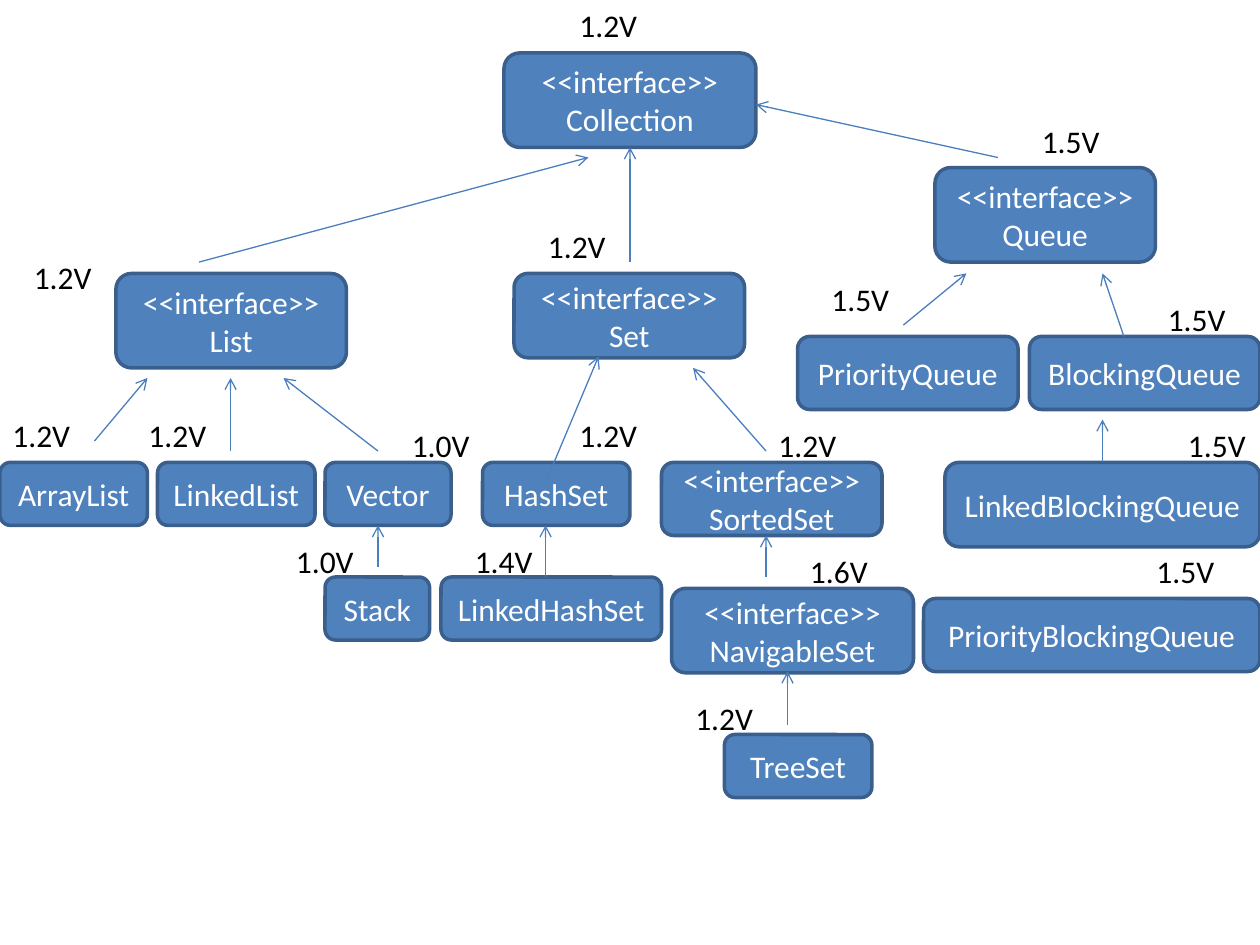
"""Build a slide with the Collection interface hierarchy and version labels."""
from lxml import etree
from pptx import Presentation
from pptx.dml.color import RGBColor
from pptx.enum.shapes import MSO_CONNECTOR as CONN, MSO_SHAPE as SHAPE
from pptx.enum.text import MSO_ANCHOR as ANCHOR, MSO_AUTO_SIZE as AUTO, PP_ALIGN as ALIGN
from pptx.oxml.ns import qn
from pptx.util import Inches, Pt

COLORS = {"fill": "4F81BD", "border": "3A5F8C", "arrow": "4B7EBC",
          "light": "FFFFFF", "dark": "000000"}
INTERFACE = "<<interface>>"


def rgb(name):
    return RGBColor.from_string(COLORS[name])


def write(tf, lines, color, align):
    tf.word_wrap = True
    for i, line in enumerate(lines):
        p = tf.paragraphs[0] if i == 0 else tf.add_paragraph()
        p.alignment = align
        r = p.add_run()
        r.text = line
        r.font.size = Pt(18)
        r.font.name = "Calibri"
        r.font.color.rgb = rgb(color)


prs = Presentation()
prs.slide_width, prs.slide_height = Inches(10), Inches(7.5)
s = prs.slides.add_slide(prs.slide_layouts[6])

types = [
    (4, 0.42, 2, 0.75, [INTERFACE, "Collection"]),
    (0.92, 2.17, 1.83, 0.75, [INTERFACE, "List"]),
    (4.08, 2.17, 1.83, 0.67, [INTERFACE, "Set"]),
    (7.42, 1.33, 1.75, 0.75, [INTERFACE, "Queue"]),
    (0, 3.67, 1.17, 0.5, ["ArrayList"]),
    (1.25, 3.67, 1.25, 0.5, ["LinkedList"]),
    (2.58, 3.67, 1, 0.5, ["Vector"]),
    (2.58, 4.58, 0.83, 0.5, ["Stack"]),
    (3.83, 3.67, 1.17, 0.5, ["HashSet"]),
    (3.5, 4.58, 1.75, 0.5, ["LinkedHashSet"]),
    (5.25, 3.67, 1.75, 0.58, [INTERFACE, "SortedSet"]),
    (5.33, 4.67, 1.92, 0.67, [INTERFACE, "NavigableSet"]),
    (5.75, 5.83, 1.17, 0.5, ["TreeSet"]),
    (6.33, 2.67, 1.75, 0.58, ["PriorityQueue"]),
    (8.17, 2.67, 1.83, 0.58, ["BlockingQueue"]),
    (7.5, 3.67, 2.5, 0.67, ["LinkedBlockingQueue"]),
    (7.33, 4.75, 2.67, 0.58, ["PriorityBlockingQueue"]),
]
for x, y, w, h, lines in types:
    sp = s.shapes.add_shape(SHAPE.ROUNDED_RECTANGLE, Inches(x), Inches(y), Inches(w), Inches(h))
    sp.shadow.inherit = False
    sp.fill.solid()
    sp.fill.fore_color.rgb = rgb("fill")
    sp.line.color.rgb = rgb("border")
    sp.line.width = Pt(2)
    sp.text_frame.vertical_anchor = ANCHOR.MIDDLE
    write(sp.text_frame, lines, "light", ALIGN.CENTER)

arrows = [
    (1.58, 2.08, 4.67, 1.25), (5, 2.08, 5, 1.17), (7.92, 1.25, 6, 0.83),
    (0.75, 3.5, 1.17, 3), (1.83, 3.58, 1.83, 3), (3, 3.58, 2.25, 3),
    (3, 4.5, 3, 4.17), (4.33, 3.83, 4.75, 2.83), (4.33, 4.58, 4.33, 4.17),
    (6.08, 3.58, 5.5, 2.92), (6.08, 4.58, 6.08, 4.25), (6.25, 5.75, 6.25, 5.33),
    (7.17, 2.58, 7.67, 2.17), (8.92, 2.67, 8.75, 2.17), (8.75, 3.67, 8.75, 3.33),
]
for ends in arrows:
    cx = s.shapes.add_connector(CONN.STRAIGHT, *[Inches(v) for v in ends])
    cx.line.color.rgb = rgb("arrow")
    cx.line.width = Pt(0.75)
    etree.SubElement(cx.line._get_or_add_ln(), qn("a:tailEnd"), type="arrow")
    etree.SubElement(cx._element.spPr, qn("a:effectLst"))

versions = {
    "1.0V": [(3.17, 3.33), (2.25, 4.25)],
    "1.2V": [(4.5, 0), (0.17, 2), (4.25, 1.75), (0, 3.25), (1.08, 3.25),
             (4.5, 3.25), (6.08, 3.33), (5.42, 5.5)],
    "1.4V": [(3.67, 4.25)],
    "1.5V": [(8.17, 0.92), (6.5, 2.17), (9.17, 2.33), (9.33, 3.33), (9.08, 4.33)],
    "1.6V": [(6.33, 4.33)],
}
for version, spots in versions.items():
    for x, y in spots:
        tb = s.shapes.add_textbox(Inches(x), Inches(y), Inches(0.67), Inches(0.4))
        write(tb.text_frame, [version], "dark", ALIGN.LEFT)
        tb.text_frame.auto_size = AUTO.SHAPE_TO_FIT_TEXT

prs.save("out.pptx")
